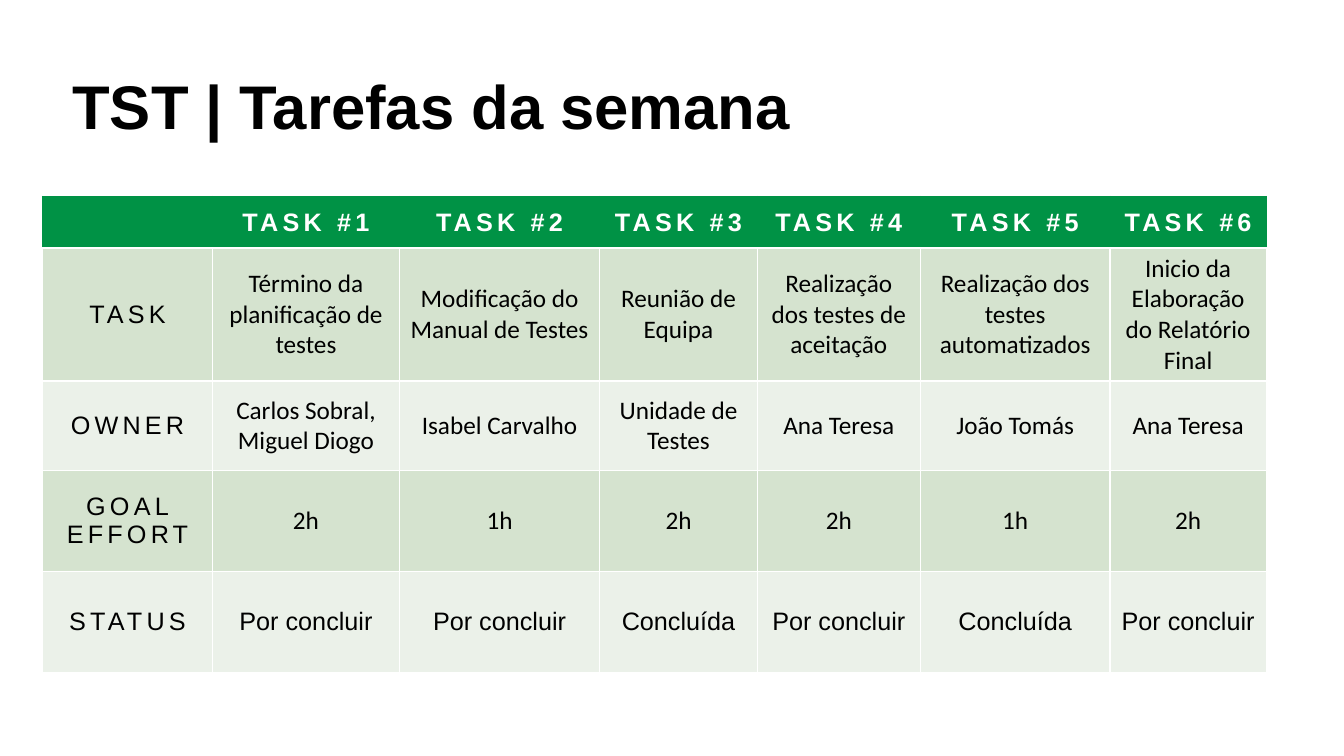
from lxml import etree
from pptx import Presentation
from pptx.dml.color import RGBColor
from pptx.enum.text import MSO_ANCHOR, PP_ALIGN
from pptx.oxml.ns import qn
from pptx.util import Inches, Pt

MIDDLE = MSO_ANCHOR.MIDDLE
CENTER, LEFT = PP_ALIGN.CENTER, PP_ALIGN.LEFT
GREEN, SAGE, MIST, WHITE, BLACK = "009245", "D5E3CF", "EBF1E9", "FFFFFF", "000000"

TITLE = "TST | Tarefas da semana"
TASKS = [
    ("Término da planificação de testes", "Carlos Sobral, Miguel Diogo", "2h", "Por concluir"),
    ("Modificação do Manual de Testes", "Isabel Carvalho", "1h", "Por concluir"),
    ("Reunião de Equipa", "Unidade de Testes", "2h", "Concluída"),
    ("Realização dos testes de aceitação", "Ana Teresa", "2h", "Por concluir"),
    ("Realização dos testes automatizados", "João Tomás", "1h", "Concluída"),
    ("Inicio da Elaboração do Relatório Final", "Ana Teresa", "2h", "Por concluir"),
]
FIELDS = ("TASK", "OWNER", "GOAL\nEFFORT", "STATUS")
COLUMN_WIDTHS = (1.69, 1.85, 1.99, 1.56, 1.62, 1.88, 1.55)
ROW_HEIGHTS = (0.51, 1.32, 0.89, 1, 1)


def rgb(color):
    return RGBColor.from_string(color)


def write(frame, text, size=18, font="Arial", color=BLACK, bold=False,
          align=CENTER, tracking=0, line_spacing=1.0):
    frame.word_wrap = True
    for index, line in enumerate(text.split("\n")):
        paragraph = frame.add_paragraph() if index else frame.paragraphs[0]
        paragraph.alignment = align
        paragraph.line_spacing = line_spacing
        run = paragraph.add_run()
        run.text = line
        run.font.size, run.font.name, run.font.bold = Pt(size), font, bold
        run.font.color.rgb = rgb(color)
        run.font._element.set("spc", str(tracking * 100))


def paint(cell, fill, edge):
    for side in ("lnL", "lnR", "lnT", "lnB"):
        border = etree.SubElement(cell._tc.get_or_add_tcPr(), qn(f"a:{side}"), w=str(Pt(1)))
        solid = etree.SubElement(border, qn("a:solidFill"))
        etree.SubElement(solid, qn("a:srgbClr"), val=edge)
    cell.fill.solid()
    cell.fill.fore_color.rgb = rgb(fill)
    cell.vertical_anchor = MIDDLE


def add_schedule(slide):
    header = ["", *(f"TASK #{number}" for number in range(1, len(TASKS) + 1))]
    grid = [header, *([field, *values] for field, values in zip(FIELDS, zip(*TASKS)))]
    schedule = slide.shapes.add_table(
        len(grid), len(header), Inches(0.42), Inches(1.95),
        Inches(sum(COLUMN_WIDTHS)), Inches(sum(ROW_HEIGHTS))).table
    schedule.first_row = schedule.horz_banding = False
    for column, width in zip(schedule.columns, COLUMN_WIDTHS):
        column.width = Inches(width)
    for row, height in zip(schedule.rows, ROW_HEIGHTS):
        row.height = Inches(height)
    for r, entries in enumerate(grid):
        for c, entry in enumerate(entries):
            cell = schedule.cell(r, c)
            if r == 0:
                paint(cell, GREEN, GREEN)
            else:
                paint(cell, SAGE if r % 2 else MIST, WHITE)
            if entry:
                is_label = r == 0 or c == 0
                is_arial = is_label or r == len(FIELDS)
                write(cell.text_frame, entry, font="Arial" if is_arial else "Calibri",
                      color=BLACK if r else WHITE, bold=r == 0,
                      tracking=3 if is_label else 0)


def main():
    """Build the weekly testing task slide."""
    deck = Presentation()
    deck.slide_width, deck.slide_height = Inches(13.33), Inches(7.5)
    slide = deck.slides.add_slide(deck.slide_layouts[6])
    heading = slide.shapes.add_textbox(
        Inches(0.62), Inches(0.36), Inches(11.5), Inches(1.45)).text_frame
    heading.vertical_anchor = MIDDLE
    write(heading, TITLE, size=44, bold=True, align=LEFT, line_spacing=0.9)
    add_schedule(slide)
    deck.save("out.pptx")


if __name__ == "__main__":
    main()
